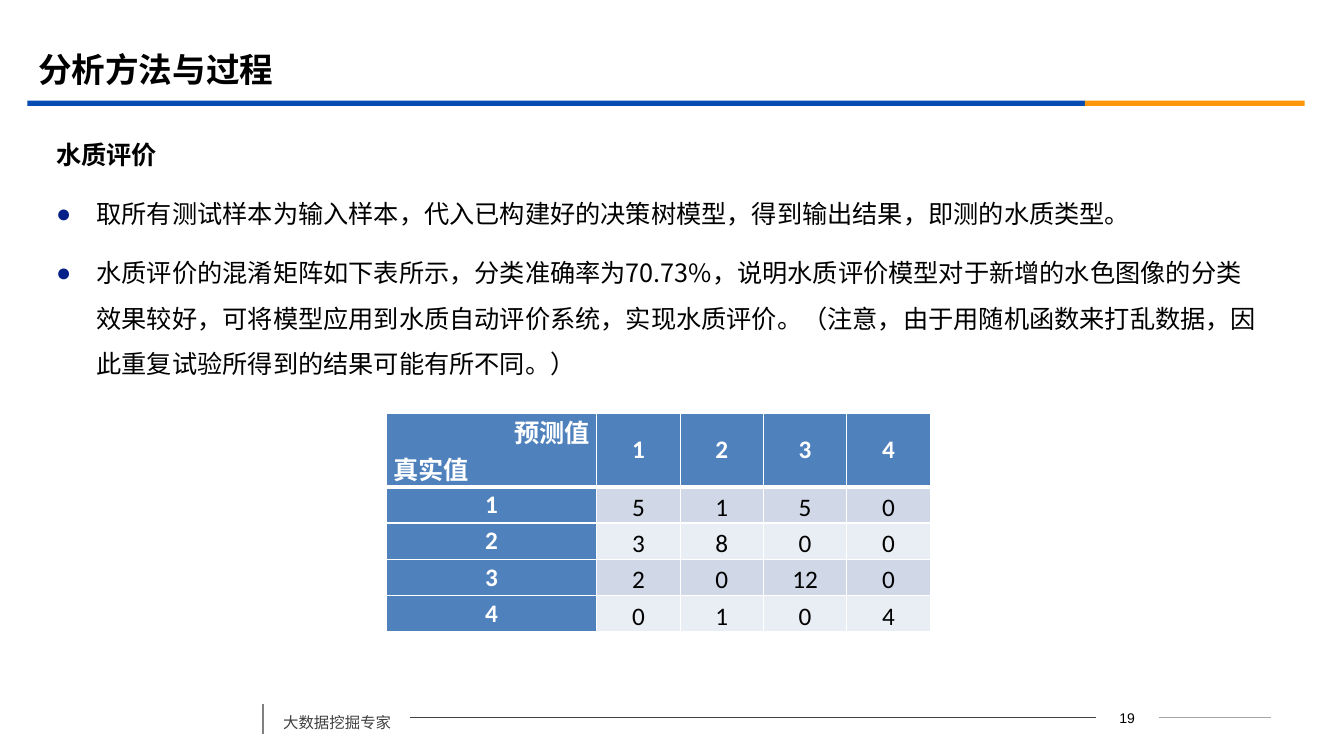
from lxml.etree import SubElement
from pptx import Presentation
from pptx.dml.color import RGBColor
from pptx.enum.shapes import MSO_CONNECTOR as Connector, MSO_SHAPE as Shape
from pptx.enum.text import MSO_ANCHOR as Anchor, PP_ALIGN as Align
from pptx.oxml.ns import qn
from pptx.util import Inches, Pt

BLACK = RGBColor(0x00, 0x00, 0x00)
WHITE = RGBColor(0xFF, 0xFF, 0xFF)
BLUE = RGBColor(0x06, 0x4B, 0xB2)
ORANGE = RGBColor(0xFB, 0x97, 0x08)
BULLET = RGBColor(0x03, 0x20, 0x89)
DARK_GRAY = RGBColor(0x40, 0x40, 0x40)
GRAY = RGBColor(0x80, 0x80, 0x80)
LIGHT_GRAY = RGBColor(0xA6, 0xA6, 0xA6)
HEADER_FILL = RGBColor(0x4F, 0x81, 0xBD)
BAND_FILLS = (RGBColor(0xD0, 0xD8, 0xE8), RGBColor(0xE9, 0xED, 0xF4))
CHINESE_FONT = "Noto Sans CJK SC"

CONCLUSIONS = (
    "取所有测试样本为输入样本，代入已构建好的决策树模型，得到输出结果，即测的水质类型。",
    "水质评价的混淆矩阵如下表所示，分类准确率为70.73%，说明水质评价模型对于新增的水色图像的分类"
    "效果较好，可将模型应用到水质自动评价系统，实现水质评价。（注意，由于用随机函数来打乱数据，"
    "因此重复试验所得到的结果可能有所不同。）",
)
CONFUSION_MATRIX = ((5, 1, 5, 0), (3, 8, 0, 0), (2, 0, 12, 0), (0, 1, 0, 4))


def write(frame, text, size=18, font=CHINESE_FONT, color=BLACK, bold=False,
          align=Align.LEFT, line_spacing=None, before=None, bullet=False):
    """Write one paragraph into a text frame, after any text it already holds."""
    paragraph = frame.add_paragraph() if frame.text else frame.paragraphs[0]
    paragraph.alignment = align
    if line_spacing:
        paragraph.line_spacing = line_spacing
    if before:
        paragraph.space_before = Pt(before)
    if bullet:
        properties = paragraph._p.get_or_add_pPr()
        properties.set("marL", str(Inches(0.4)))
        properties.set("indent", str(-Inches(0.4)))
        bullet_color = SubElement(properties, qn("a:buClr"))
        SubElement(bullet_color, qn("a:srgbClr"), val=str(BULLET))
        SubElement(properties, qn("a:buFont"), typeface="Arial")
        SubElement(properties, qn("a:buChar"), char="●")
    run = paragraph.add_run()
    run.text = text
    run.font.size, run.font.bold, run.font.name = Pt(size), bold, font
    run.font.color.rgb = color
    SubElement(run._r.get_or_add_rPr(), qn("a:ea"), typeface=CHINESE_FONT)


class SlideBuilder:
    """Place styled elements on a slide, in percent of its width and height."""

    def __init__(self, presentation):
        self.slide = presentation.slides.add_slide(presentation.slide_layouts[6])
        self.width = presentation.slide_width
        self.height = presentation.slide_height

    def across(self, share):
        return round(self.width * share / 100)

    def down(self, share):
        return round(self.height * share / 100)

    def box(self, left, top, width, height):
        return self.across(left), self.down(top), self.across(width), self.down(height)

    def text(self, *place, anchor=Anchor.TOP):
        shape = self.slide.shapes.add_textbox(*self.box(*place))
        shape.text_frame.word_wrap = True
        shape.text_frame.vertical_anchor = anchor
        return shape

    def bar(self, *place, color):
        shape = self.slide.shapes.add_shape(Shape.RECTANGLE, *self.box(*place))
        shape.shadow.inherit = False
        shape.fill.solid()
        shape.fill.fore_color.rgb = color
        shape.line.fill.background()

    def line(self, left, top, right, bottom, color, width=0.75):
        line = self.slide.shapes.add_connector(
            Connector.STRAIGHT, self.across(left), self.down(top),
            self.across(right), self.down(bottom))
        line.line.color.rgb = color
        line.line.width = Pt(width)
        SubElement(line._element.spPr, qn("a:effectLst"))
        return line

    def table(self, left, top, widths, heights):
        place = self.box(left, top, sum(widths), sum(heights))
        table = self.slide.shapes.add_table(len(heights), len(widths), *place).table
        for column, width in zip(table.columns, widths):
            column.width = self.across(width)
        for row, height in zip(table.rows, heights):
            row.height = self.down(height)
        return table

    def cell(self, cell, fill, anchor=Anchor.MIDDLE, bottom=1, top=1):
        cell.margin_left = cell.margin_right = Inches(0.07)
        cell.margin_top = cell.margin_bottom = 0
        cell.vertical_anchor = anchor
        properties = cell._tc.get_or_add_tcPr()
        for side, width in (("L", 1), ("R", 1), ("T", top), ("B", bottom)):
            border = SubElement(properties, qn(f"a:ln{side}"), w=str(Pt(width)))
            SubElement(SubElement(border, qn("a:solidFill")), qn("a:srgbClr"), val=str(WHITE))
        cell.fill.solid()
        cell.fill.fore_color.rgb = fill
        return cell.text_frame


def add_confusion_matrix(builder):
    table = builder.table(28.73, 54.7, [15.68] + [6.2] * 4, [9.7] + [4.8] * 4)
    corner = builder.cell(table.cell(0, 0), HEADER_FILL, bottom=3)
    header = {"color": WHITE, "bold": True}
    digits = {"font": "Calibri", "align": Align.CENTER}
    write(corner, "预测值", font="Times New Roman", align=Align.RIGHT, **header)
    write(corner, "真实值", font="Times New Roman", **header)
    for index, counts in enumerate(CONFUSION_MATRIX, 1):
        top = 3 if index == 1 else 1
        write(builder.cell(table.cell(0, index), HEADER_FILL, bottom=3),
              str(index), **header, **digits)
        write(builder.cell(table.cell(index, 0), HEADER_FILL, top=top),
              str(index), **header, **digits)
        for column, count in enumerate(counts, 1):
            frame = builder.cell(table.cell(index, column), BAND_FILLS[(index - 1) % 2],
                                 Anchor.BOTTOM, top=top)
            write(frame, str(count), **digits)


def add_footer(builder):
    middle = 94.93
    motto = builder.text(20.33, 92.4, 10.2, 5.06)
    write(motto.text_frame, "大数据挖掘专家", size=11, color=DARK_GRAY,
          line_spacing=1.5, before=6)
    number = builder.text(81.55, 93.27, 4.65, 3.32, anchor=Anchor.MIDDLE)
    write(number.text_frame, "19", size=10, font="Arial", align=Align.CENTER)
    builder.line(19.58, 93.07, 19.58, 97.07, GRAY, 1.25)
    long_rule = builder.line(30.53, middle, 81.55, middle, DARK_GRAY)
    long_rule.begin_connect(motto, 3)
    long_rule.end_connect(number, 1)
    short_rule = builder.line(86.2, middle, 94.6, middle, LIGHT_GRAY)
    short_rule.begin_connect(number, 3)


def main():
    presentation = Presentation()
    presentation.slide_width, presentation.slide_height = Inches(13.33), Inches(7.5)
    builder = SlideBuilder(presentation)
    builder.bar(2.03, 13.33, 78.69, 0.67, color=BLUE)
    builder.bar(80.72, 13.33, 16.35, 0.67, color=ORANGE)
    add_footer(builder)
    body = builder.text(3.45, 15.73, 91.15, 73.6).text_frame
    write(body, "水质评价", bold=True, line_spacing=1.5, before=10)
    for conclusion in CONCLUSIONS:
        write(body, conclusion, line_spacing=1.5, before=10, bullet=True)
    title = builder.text(2.1, 5.2, 90, 7.73, anchor=Anchor.MIDDLE)
    write(title.text_frame, "分析方法与过程", size=24, bold=True)
    add_confusion_matrix(builder)
    presentation.save("out.pptx")


if __name__ == "__main__":
    main()
